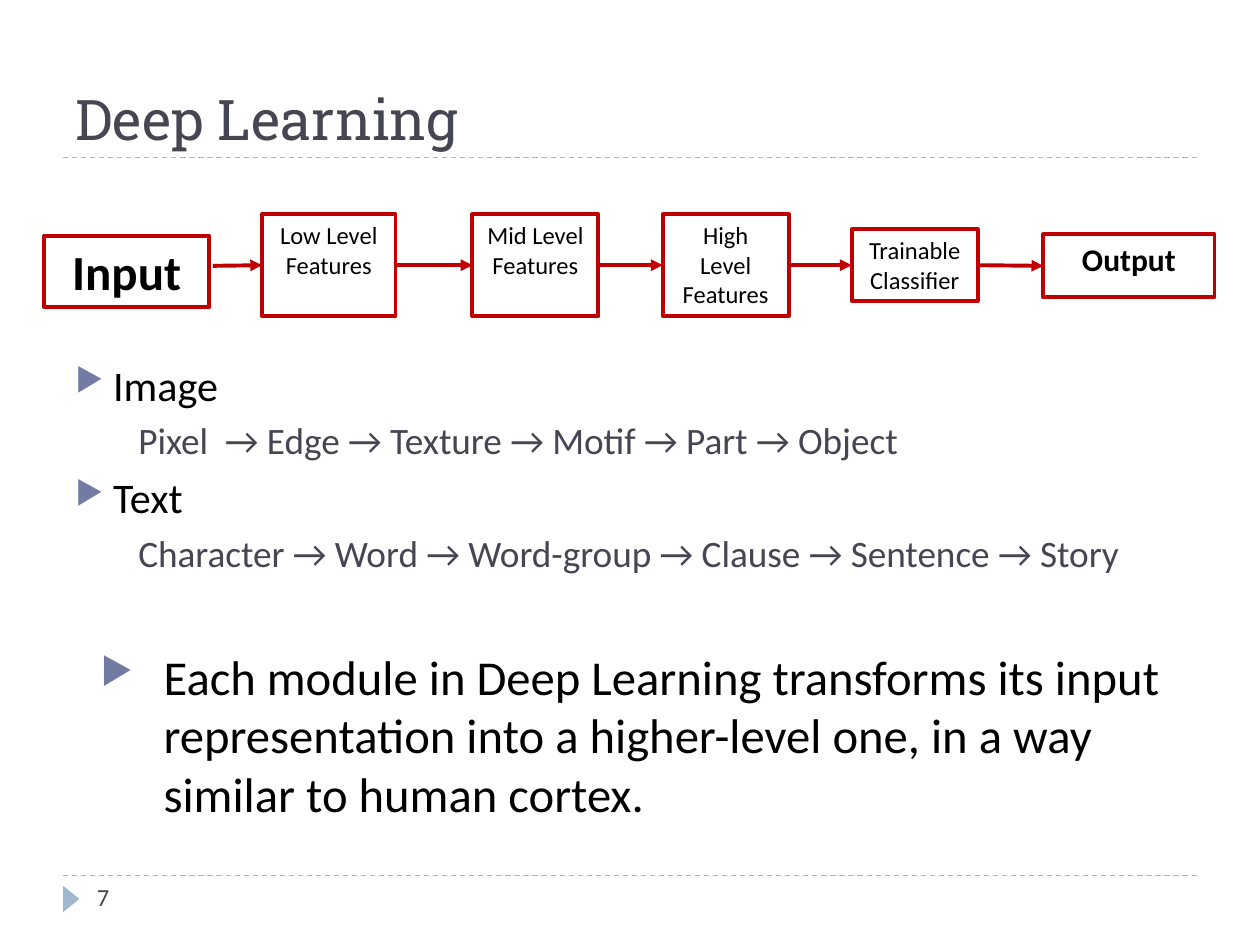
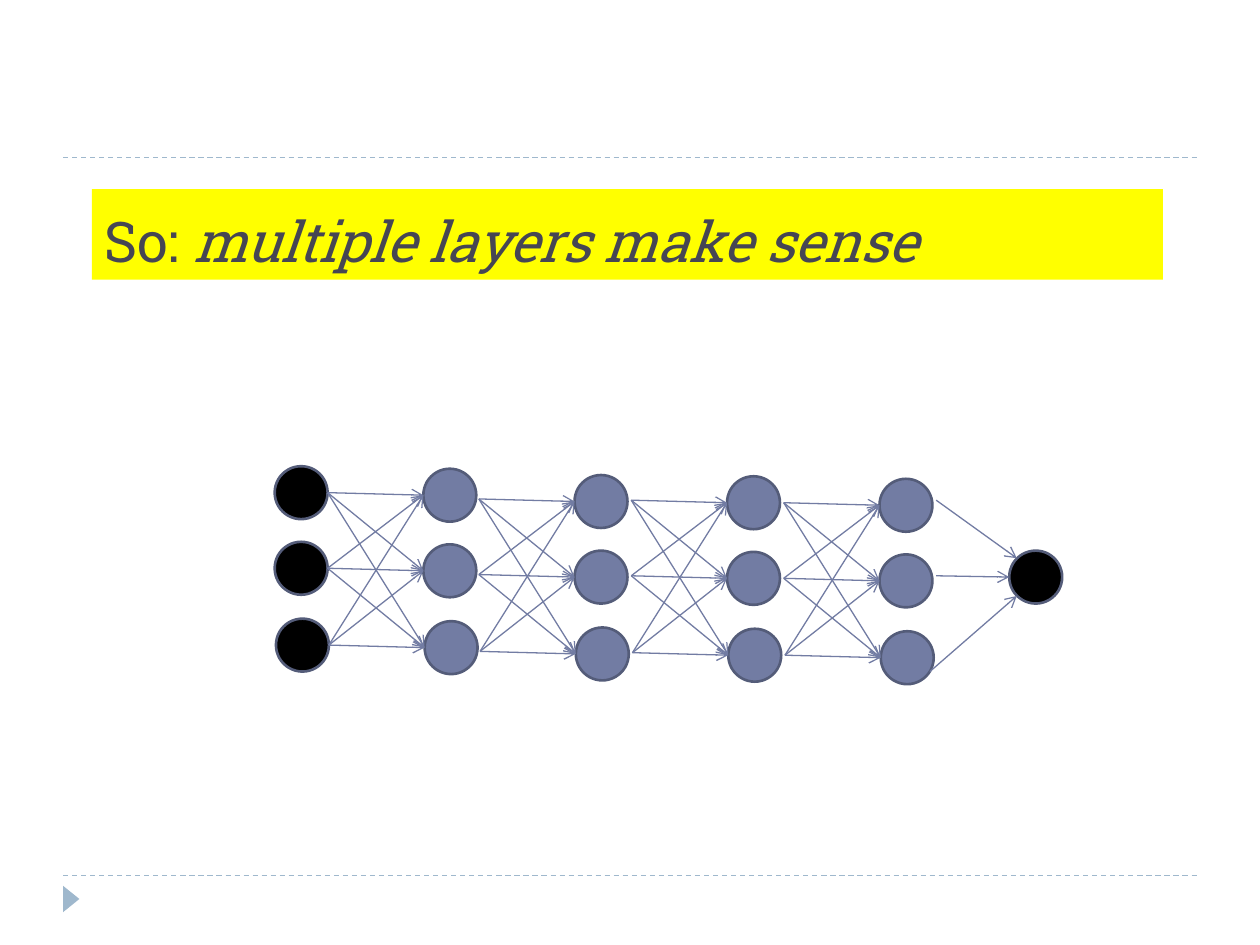
from itertools import pairwise

from pptx import Presentation
from pptx.dml.color import RGBColor
from pptx.enum.dml import MSO_LINE
from pptx.enum.shapes import MSO_CONNECTOR, MSO_SHAPE
from pptx.enum.text import MSO_ANCHOR, PP_ALIGN
from pptx.oxml.ns import qn
from pptx.util import Inches, Pt
from lxml.etree import SubElement

BODY_FACE, TITLE_FACE = "Calibri", "Roboto Slab"
BLACK, SLATE, INDIGO, DEEP_INDIGO = "000000", "464653", "727CA3", "545C79"
PALE_BLUE, RED, YELLOW = "9FB8CD", "C00000", "FFFF00"
RIGHT_SIDE, LEFT_SIDE = 3, 1


def color(value):
    return RGBColor.from_string(value)


def style_font(font, size, tint, face=BODY_FACE, bold=False):
    font.name, font.size, font.bold = face, Pt(size), bold
    font.color.rgb = color(tint)


def add_text_area(slide, box):
    area = slide.shapes.add_textbox(*map(Inches, box))
    area.text_frame.word_wrap = True
    return area


def add_outline(slide, preset, box, fill=None, line=None, width=1.0):
    outline = slide.shapes.add_shape(preset, *map(Inches, box))
    outline.shadow.inherit = False
    if fill:
        outline.fill.solid()
        outline.fill.fore_color.rgb = color(fill)
    else:
        outline.fill.background()
    if line:
        outline.line.color.rgb = color(line)
        outline.line.width = Pt(width)
    else:
        outline.line.fill.background()
    return outline


def add_line(slide, start, end, tint, width, head=None, dash=None):
    line = slide.shapes.add_connector(
        MSO_CONNECTOR.STRAIGHT, *map(Inches, (*start, *end)))
    line.line.color.rgb = color(tint)
    line.line.width = Pt(width)
    if dash:
        line.line.dash_style = dash
    properties = line._element.spPr
    if head:
        SubElement(properties.find(qn("a:ln")), qn("a:tailEnd"), type=head)
    SubElement(properties, qn("a:effectLst"))
    return line


def add_frame(slide, number=None):
    for y in (6.95, 1.25):
        add_line(slide, (0.5, y), (9.5, y), PALE_BLUE, 0.75, dash=MSO_LINE.DASH)
    marker = add_outline(slide, MSO_SHAPE.ISOSCELES_TRIANGLE,
                         (0.46, 7.07, 0.21, 0.13), PALE_BLUE)
    marker.rotation = 90
    if number:
        page = add_text_area(slide, (0.67, 6.95, 2.17, 0.4)).text_frame.paragraphs[0]
        page.text = number
        style_font(page.font, 14, SLATE)


def add_title(slide, box, plain, emphasis=None, fill=None):
    title = add_text_area(slide, box)
    if fill:
        title.fill.solid()
        title.fill.fore_color.rgb = color(fill)
    title.text_frame.vertical_anchor = MSO_ANCHOR.BOTTOM
    heading = title.text_frame.paragraphs[0]
    style_font(heading.font, 32, SLATE, TITLE_FACE)
    heading.add_run().text = plain
    if emphasis:
        stressed = heading.add_run()
        stressed.text = emphasis
        stressed.font.italic = True


def add_pipeline(slide, box):
    left, top = box[:2]
    stages = (
        ("Input", 0, 0.17, 1.31, 0.57, 28, True),
        ("Low Level Features", 1.73, 0, 1.06, 0.81, 14, False),
        ("Mid Level Features", 3.4, 0, 1, 0.81, 14, False),
        ("High Level Features", 4.91, 0, 1, 0.81, 14, False),
        ("Trainable Classifier", 6.41, 0.12, 1, 0.57, 14, False),
        ("Output", 7.93, 0.16, 1.36, 0.5, 18, True),
    )
    blocks = []
    for label, dx, dy, width, height, size, bold in stages:
        block = add_outline(slide, MSO_SHAPE.RECTANGLE,
                            (left + dx, top + dy, width, height), line=RED, width=2.25)
        block.text_frame.word_wrap = True
        block.text_frame.vertical_anchor = MSO_ANCHOR.TOP
        caption = block.text_frame.paragraphs[0]
        caption.text = label
        caption.alignment = PP_ALIGN.CENTER
        style_font(caption.font, size, BLACK, bold=bold)
        blocks.append(block)
    axis = top + 0.41
    for source, target in pairwise(blocks):
        arrow = add_line(slide, (left + 1.34, axis), (left + 1.73, axis),
                         RED, 2.25, "triangle")
        if source is not blocks[0]:
            arrow.begin_connect(source, RIGHT_SIDE)
        arrow.end_connect(target, LEFT_SIDE)


def add_bullet(properties):
    tint = SubElement(properties, qn("a:buClr"))
    SubElement(tint, qn("a:srgbClr"), val=INDIGO)
    SubElement(properties, qn("a:buSzPct"), val="76000")
    SubElement(properties, qn("a:buChar"), char="▶")


def add_examples(slide, box):
    frame = add_text_area(slide, box).text_frame
    entries = (
        ("Image", 24.1, BLACK, 0.3, -0.3, 0),
        ("Pixel  → Edge → Texture → Motif → Part → Object", 21.3, SLATE, 0.5, 0, 4.5),
        ("Text", 24.1, BLACK, 0.3, -0.3, 5.5),
        ("Character → Word → Word-group → Clause → Sentence → Story",
         21.3, SLATE, 0.5, 0, 4.5),
        ("Each module in Deep Learning transforms its input representation into "
         "a higher-level one, in a way similar to human cortex.",
         27.8, BLACK, 0.7, -0.5, 41),
    )
    for index, (wording, size, tint, margin, indent, before) in enumerate(entries):
        entry = frame.add_paragraph() if index else frame.paragraphs[0]
        entry.text = wording
        entry.space_before = Pt(before)
        properties = entry._p.get_or_add_pPr()
        properties.set("marL", str(Inches(margin)))
        properties.set("indent", str(Inches(indent)))
        if indent:
            add_bullet(properties)
        style_font(entry.font, size, tint)


def add_network(slide, box):
    left, top = box[:2]
    diameter = 0.42
    layers = ((0, 0), (1.18, 0.02), (2.38, 0.07), (3.59, 0.08), (4.8, 0.1))
    rows = ((0, 0), (0, 0.6), (0.01, 1.21))

    def add_neuron(x, y, fill):
        add_outline(slide, MSO_SHAPE.OVAL, (x, y, diameter, diameter),
                    fill, DEEP_INDIGO, 1.5)

    def add_synapse(start, end):
        add_line(slide, start, end, INDIGO, 0.75, "arrow")

    for layer, (dx, dy) in enumerate(layers):
        neurons = [(left + dx + shift, top + dy + drop) for shift, drop in rows]
        for x, y in neurons:
            add_neuron(x, y, INDIGO if layer else BLACK)
        if layer:
            entries = [(x, y + diameter / 2) for x, y in neurons]
            for x, y in entries:
                for entry in entries:
                    add_synapse((x - 0.76, y - 0.02), entry)

    add_neuron(left + 5.83, top + 0.67, BLACK)
    for start, end in (((5.25, 0.27), (5.89, 0.73)),
                       ((5.25, 0.87), (5.83, 0.88)),
                       ((5.2, 1.63), (5.89, 1.03))):
        add_synapse((left + start[0], top + start[1]), (left + end[0], top + end[1]))


def build_deep_learning(slide):
    add_frame(slide, "7")
    add_title(slide, (0.5, 0.17, 9, 1.08), "Deep Learning")
    add_examples(slide, (0.5, 2.8, 9, 3.93))
    add_pipeline(slide, (0.35, 1.7, 9.29, 0.81))


def build_multiple_layers(slide):
    add_frame(slide)
    add_title(slide, (0.73, 1.5, 8.5, 0.72), "So: ", "multiple layers make sense", YELLOW)
    add_network(slide, (2.18, 3.7, 6.25, 1.73))


def main():
    deck = Presentation()
    deck.slide_width, deck.slide_height = Inches(10), Inches(7.5)
    for build in (build_deep_learning, build_multiple_layers):
        build(deck.slides.add_slide(deck.slide_layouts[6]))
    deck.save("out.pptx")


if __name__ == "__main__":
    main()
